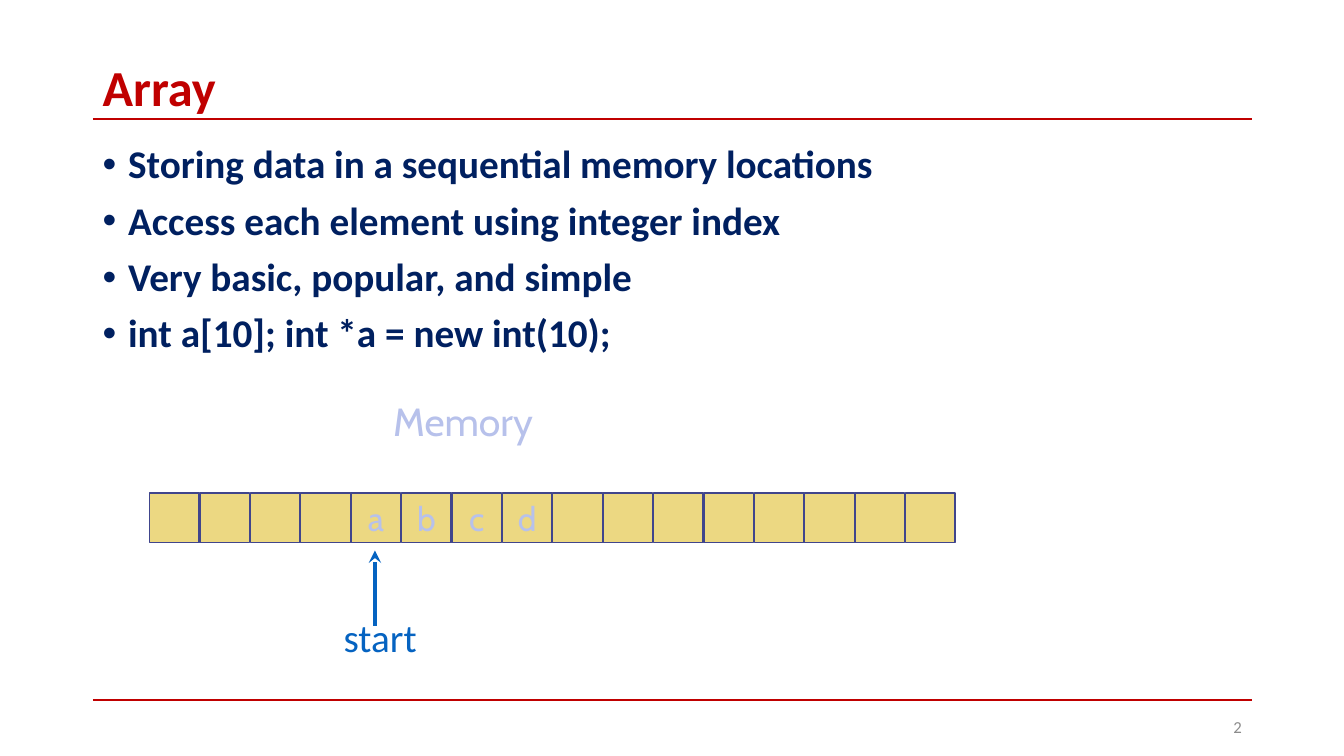
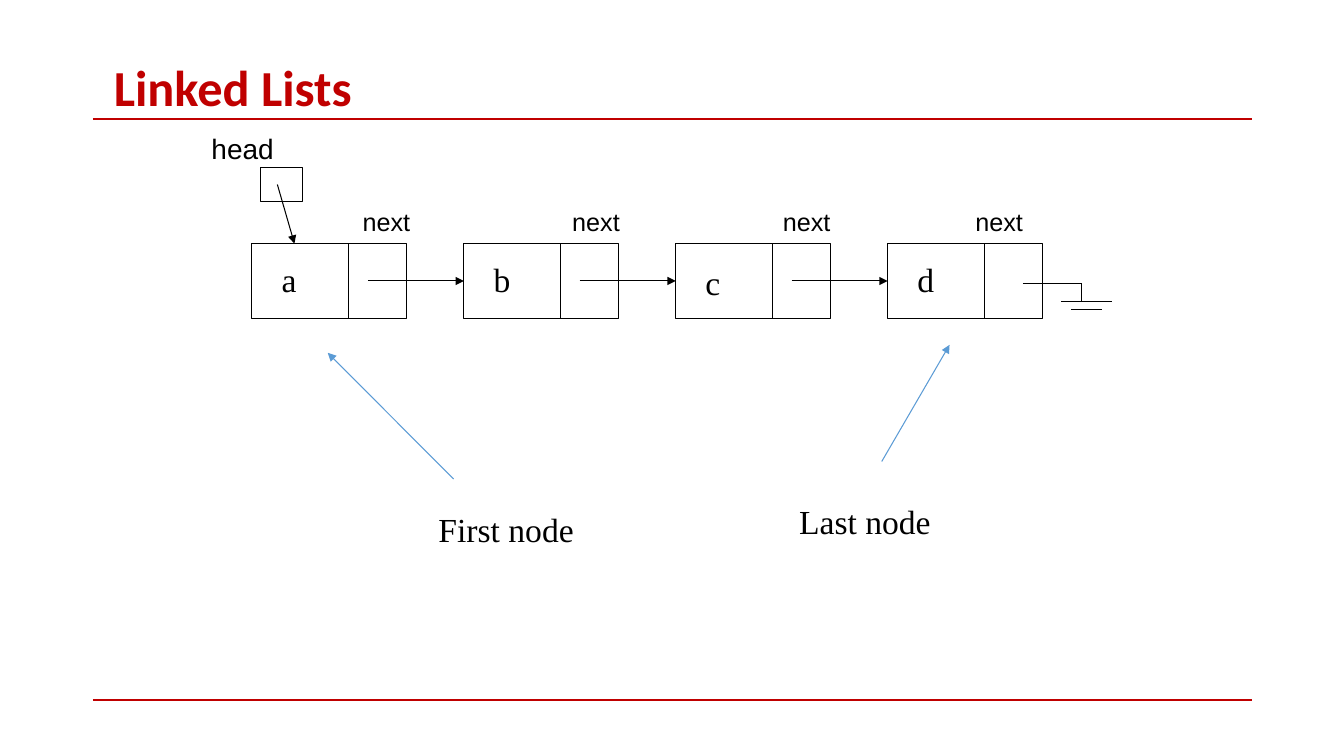
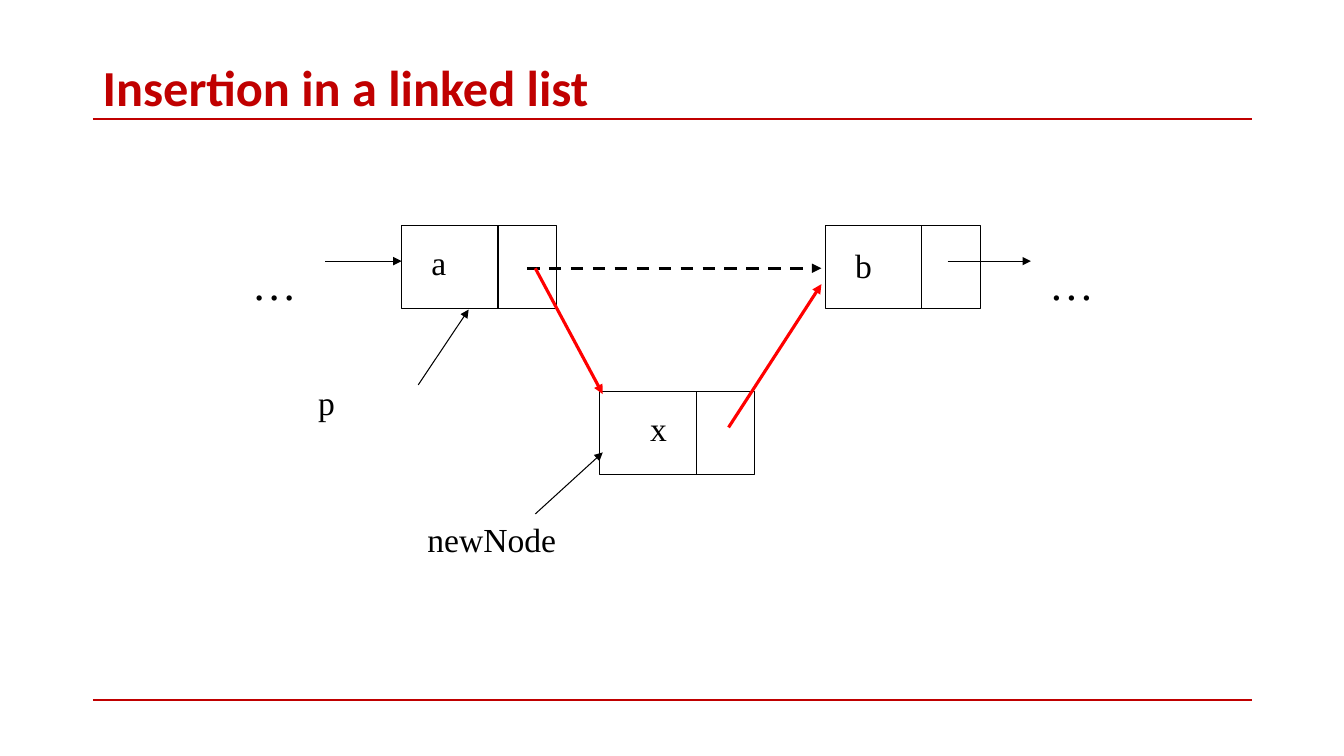
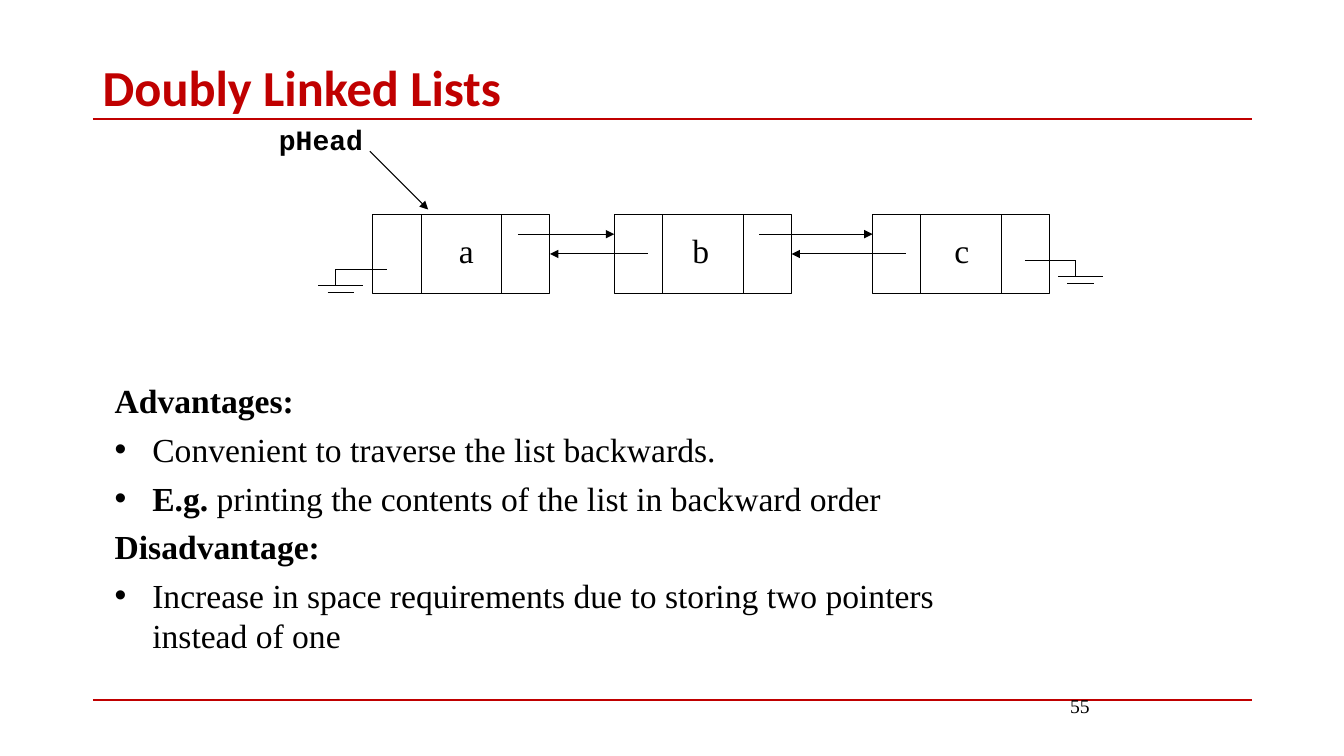
from dataclasses import dataclass, field
from itertools import pairwise
from typing import NamedTuple

from lxml import etree
from pptx import Presentation
from pptx.dml.color import RGBColor
from pptx.enum.dml import MSO_LINE
from pptx.enum.shapes import MSO_CONNECTOR, MSO_SHAPE
from pptx.enum.text import MSO_ANCHOR, PP_ALIGN
from pptx.oxml.ns import qn
from pptx.presentation import Presentation as Deck
from pptx.shapes.autoshape import Shape
from pptx.shapes.connector import Connector
from pptx.slide import Slide
from pptx.util import Cm, Pt

RECTANGLE = MSO_SHAPE.RECTANGLE
STRAIGHT = MSO_CONNECTOR.STRAIGHT
DASH = MSO_LINE.DASH
TOP, MIDDLE = MSO_ANCHOR.TOP, MSO_ANCHOR.MIDDLE
LEFT, CENTER = PP_ALIGN.LEFT, PP_ALIGN.CENTER
RIGHT, JUSTIFY = PP_ALIGN.RIGHT, PP_ALIGN.JUSTIFY
LEFT_SIDE, RIGHT_SIDE = 1, 3
BLANK_LAYOUT = 6

BLACK = RGBColor(0x00, 0x00, 0x00)
WHITE = RGBColor(0xFF, 0xFF, 0xFF)
CRIMSON = RGBColor(0xC0, 0x00, 0x00)
BLUE = RGBColor(0x05, 0x63, 0xC1)
LAVENDER = RGBColor(0xB7, 0xC1, 0xEB)


class TextStyle(NamedTuple):
    font: str
    size: float
    color: RGBColor = BLACK
    bold: bool = False


class LineStyle(NamedTuple):
    color: RGBColor = BLACK
    width: float = 0.75
    arrow: str = ""
    dashed: bool = False


@dataclass(frozen=True)
class Theme:
    title: TextStyle = TextStyle("Calibri", 36, CRIMSON, True)
    bullets: TextStyle = TextStyle("Calibri", 28, RGBColor(0x00, 0x20, 0x60), True)
    page_number: TextStyle = TextStyle("Calibri", 12, RGBColor(0x8C, 0x8C, 0x8C))
    serif_number: TextStyle = TextStyle("Times New Roman", 14)
    serif: TextStyle = TextStyle("Times New Roman", 24)
    ellipsis: TextStyle = TextStyle("Times New Roman", 32)
    head: TextStyle = TextStyle("Arial", 20)
    next: TextStyle = TextStyle("Arial", 18)
    code: TextStyle = TextStyle("Courier New", 20, BLACK, True)
    memory: TextStyle = TextStyle("Cabin", 28, LAVENDER)
    cell: TextStyle = TextStyle("Cabin", 24, LAVENDER)
    start: TextStyle = TextStyle("Calibri", 28, BLUE)
    rule: LineStyle = LineStyle(CRIMSON, 1.5)
    thin: LineStyle = LineStyle()
    link: LineStyle = LineStyle(arrow="triangle")
    old_link: LineStyle = LineStyle(width=2.25, arrow="triangle", dashed=True)
    new_link: LineStyle = LineStyle(RGBColor(0xFF, 0x00, 0x00), 2.25, "triangle")
    callout: LineStyle = LineStyle(RGBColor(0x5B, 0x9B, 0xD5), 0.75, "triangle")
    start_arrow: LineStyle = LineStyle(BLUE, 3, "stealth")
    cell_border: LineStyle = LineStyle(RGBColor(0x40, 0x45, 0x8C), 1)
    cell_fill: RGBColor = RGBColor(0xEC, 0xD8, 0x82)


THEME = Theme()


class Point(NamedTuple):
    """A place on the page, in centimetres."""
    x: float
    y: float


class Frame(NamedTuple):
    """A rectangle on the page, in centimetres."""
    left: float
    top: float
    width: float
    height: float


class Span(NamedTuple):
    text: str
    bold: bool = False


class ParaFormat(NamedTuple):
    align: PP_ALIGN = LEFT
    indent: float = 0
    hanging: bool = False
    line_spacing: float = 1
    space_before: float = 0


class Line(NamedTuple):
    spans: tuple[Span, ...]
    bullet: bool = False


class Label(NamedTuple):
    text: str
    frame: Frame
    style: TextStyle


class Arrow(NamedTuple):
    start: Point
    end: Point
    style: LineStyle = THEME.link


@dataclass(frozen=True)
class NodeKind:
    width: float
    height: float
    dividers: tuple[float, ...]
    label_width: float


@dataclass(frozen=True)
class Node:
    kind: NodeKind
    text: str
    left: float
    top: float
    label_left: float = 0.5
    label_drop: float = 0
    align: PP_ALIGN = field(default=LEFT)

    @property
    def middle(self) -> float:
        return self.top + self.kind.height / 2


PLAIN_NODE = NodeKind(3.9, 1.88, (2.43,), 1.95)
TALL_NODE = NodeKind(3.9, 2.09, (2.43,), 1.95)
DOUBLE_NODE = NodeKind(4.47, 2, (1.22, 3.25), 1.9)


def add_bullet(para) -> None:
    properties = para._p.get_or_add_pPr()
    etree.SubElement(properties, qn("a:buFont")).set("typeface", "Arial")
    etree.SubElement(properties, qn("a:buChar")).set("char", "•")


def style_runs(para, style: TextStyle) -> None:
    for run in para.runs:
        run.font.name = style.font
        run.font.size = Pt(style.size)
        run.font.bold = style.bold
        run.font.color.rgb = style.color


def add_lines(page: Slide, frame: Frame, lines: list[Line], style: TextStyle,
              layout: ParaFormat = ParaFormat(), anchor: MSO_ANCHOR = TOP) -> None:
    box = page.shapes.add_textbox(*map(Cm, frame))
    text_frame = box.text_frame
    text_frame.word_wrap = True
    text_frame.vertical_anchor = anchor
    for index, line in enumerate(lines):
        para = text_frame.add_paragraph() if index else text_frame.paragraphs[0]
        if layout.indent:
            properties = para._p.get_or_add_pPr()
            properties.set("marL", str(Cm(layout.indent)))
            if layout.hanging:
                properties.set("indent", str(-Cm(layout.indent)))
        if line.bullet:
            add_bullet(para)
        para.alignment = layout.align
        para.line_spacing = layout.line_spacing
        para.space_before = Pt(layout.space_before if index else 0)
        for text, bold in line.spans:
            para.add_run().text = text
        style_runs(para, style)
        for run, span in zip(para.runs, line.spans):
            run.font.bold = style.bold or span.bold


def add_text(page: Slide, text: str, frame: Frame, style: TextStyle,
             layout: ParaFormat = ParaFormat(), anchor: MSO_ANCHOR = TOP) -> None:
    add_lines(page, frame, [Line((Span(text),))], style, layout, anchor)


def add_box(page: Slide, frame: Frame, fill: RGBColor | None,
            border: LineStyle = THEME.thin) -> Shape:
    box = page.shapes.add_shape(RECTANGLE, *map(Cm, frame))
    box.shadow.inherit = False
    if fill is None:
        box.fill.background()
    else:
        box.fill.solid()
        box.fill.fore_color.rgb = fill
    box.line.color.rgb = border.color
    box.line.width = Pt(border.width)
    return box


def add_line(page: Slide, start: Point, end: Point,
             style: LineStyle = THEME.thin) -> Connector:
    line = page.shapes.add_connector(STRAIGHT, *map(Cm, (*start, *end)))
    line.line.color.rgb = style.color
    line.line.width = Pt(style.width)
    if style.dashed:
        line.line.dash_style = DASH
    properties = line.element.spPr
    if style.arrow:
        outline = properties.find(qn("a:ln"))
        etree.SubElement(outline, qn("a:tailEnd")).set("type", style.arrow)
    etree.SubElement(properties, qn("a:effectLst"))
    return line


def add_node(page: Slide, node: Node) -> Shape:
    kind = node.kind
    box = add_box(page, Frame(node.left, node.top, kind.width, kind.height), WHITE)
    for offset in kind.dividers:
        x = node.left + offset
        add_line(page, Point(x, node.top), Point(x, node.top + kind.height))
    label = Frame(node.left + node.label_left,
                  node.top + 0.14 * kind.height + node.label_drop,
                  kind.label_width, 0.74 * kind.height)
    add_text(page, node.text, label, THEME.serif, ParaFormat(node.align))
    return box


def add_ground(page: Slide, start: Point, turn_x: float, scale: float = 1) -> None:
    """Draw a null pointer: a lead, a drop and two bars."""
    turn = Point(turn_x, start.y)
    foot = Point(turn_x, start.y + 0.46 * scale)
    add_line(page, start, turn)
    add_line(page, turn, foot)
    center = turn_x + 0.13
    for half_width, gap in ((0.64, 0), (0.38, 0.2)):
        y = foot.y + gap * scale
        add_line(page, Point(center - half_width * scale, y),
                 Point(center + half_width * scale, y))


def add_labels(page: Slide, labels: list[Label]) -> None:
    for label in labels:
        add_text(page, *label)


def add_arrows(page: Slide, arrows: list[Arrow]) -> None:
    for arrow in arrows:
        add_line(page, *arrow)


def add_page(deck: Deck, title: str, indent: float = 0) -> Slide:
    page = deck.slides.add_slide(deck.slide_layouts[BLANK_LAYOUT])
    for y in (3, 17.65):
        add_line(page, Point(2.34, y), Point(31.55, y), THEME.rule)
    add_text(page, title, Frame(2.34, 1.55, 29.21, 1.47), THEME.title,
             ParaFormat(indent=indent, line_spacing=0.9), MIDDLE)
    return page


def build_array(deck: Deck) -> None:
    page = add_page(deck, "Array")
    points = (
        "Storing data in a sequential memory locations",
        "Access each element using integer index",
        "Very basic, popular, and simple",
        "int a[10]; int *a = new int(10);",
    )
    add_lines(page, Frame(2.34, 3.53, 20.32, 13.64),
              [Line((Span(point),), True) for point in points], THEME.bullets,
              ParaFormat(JUSTIFY, 0.64, True, 0.9, 10))
    add_text(page, "2", Frame(23.93, 17.81, 7.62, 1.02), THEME.page_number,
             ParaFormat(RIGHT), MIDDLE)

    contents = {4: "a", 5: "b", 6: "c", 7: "d"}
    for index in range(16):
        cell = add_box(page, Frame(3.77 + 1.27 * index, 12.42, 1.25, 1.25),
                       THEME.cell_fill, THEME.cell_border)
        if index in contents:
            text_frame = cell.text_frame
            text_frame.margin_left = text_frame.margin_right = 0
            text_frame.vertical_anchor = MIDDLE
            text_frame.text = contents[index]
            para = text_frame.paragraphs[0]
            para.alignment = CENTER
            style_runs(para, THEME.cell)

    add_text(page, "Memory", Frame(9.02, 9.88, 6.78, 1.45), THEME.memory,
             ParaFormat(indent=0.64))
    add_line(page, Point(9.45, 15.77), Point(9.45, 13.87), THEME.start_arrow)
    add_text(page, "start", Frame(8.41, 15.34, 2.97, 1.45), THEME.start)


def build_linked_list(deck: Deck) -> None:
    page = add_page(deck, "Linked Lists", indent=0.28)
    nodes = [Node(PLAIN_NODE, text, 6.35 + 5.34 * index, 6.14,
                  label_drop=0.08 if text == "c" else 0)
             for index, text in enumerate("abcd")]
    boxes = [add_node(page, node) for node in nodes]
    for node, target, box in zip(nodes, nodes[1:], boxes[1:]):
        link = add_line(page, Point(node.left + 2.92, node.middle),
                        Point(target.left, target.middle), THEME.link)
        link.end_connect(box, LEFT_SIDE)
    add_ground(page, Point(25.78, 7.14), 27.25)

    add_box(page, Frame(6.56, 4.23, 1.07, 0.84), None)
    add_arrows(page, [
        Arrow(Point(6.99, 4.65), Point(7.42, 6.14)),
        Arrow(Point(11.43, 12.07), Point(8.26, 8.89), THEME.callout),
        Arrow(Point(22.22, 11.63), Point(23.93, 8.69), THEME.callout),
    ])
    add_labels(page, [
        Label("head", Frame(5.08, 3.18, 6.99, 1.09), THEME.head),
        Label("First node", Frame(10.8, 12.7, 4.88, 1.27), THEME.serif),
        Label("Last node", Frame(19.89, 12.5, 5.51, 1.27), THEME.serif),
        *(Label("next", Frame(left, 5.08, 2.34, 1.02), THEME.next)
          for left in (8.89, 14.17, 19.48, 24.33)),
    ])


def build_insertion(deck: Deck) -> None:
    page = add_page(deck, "Insertion in a linked list")
    for node in (
        Node(TALL_NODE, "a", 10.12, 5.68),
        Node(TALL_NODE, "b", 20.8, 5.68, label_drop=0.08),
        Node(TALL_NODE, "x", 15.12, 9.86, align=CENTER),
    ):
        add_node(page, node)
    add_arrows(page, [
        Arrow(Point(13.28, 6.76), Point(20.7, 6.76), THEME.old_link),
        Arrow(Point(8.2, 6.58), Point(10.12, 6.58)),
        Arrow(Point(23.88, 6.58), Point(25.98, 6.58)),
        Arrow(Point(10.54, 9.7), Point(11.81, 7.8)),
        Arrow(Point(13.49, 12.95), Point(15.19, 11.4)),
        Arrow(Point(13.49, 6.76), Point(15.19, 9.93), THEME.new_link),
        Arrow(Point(18.36, 10.77), Point(20.7, 7.16), THEME.new_link),
    ])
    add_labels(page, [
        Label("…", Frame(6.1, 6.32, 2.1, 1.6), THEME.ellipsis),
        Label("…", Frame(26.19, 6.32, 2.1, 1.6), THEME.ellipsis),
        Label("p", Frame(7.77, 9.5, 3.81, 1.27), THEME.serif),
        Label("newNode", Frame(10.52, 12.95, 4.01, 1.27), THEME.serif),
    ])


def build_doubly_linked_list(deck: Deck) -> None:
    page = add_page(deck, "Doubly Linked Lists")
    nodes = [
        Node(DOUBLE_NODE, text, left, 5.4, label_left, align=CENTER)
        for text, left, label_left in (
            ("a", 9.39, 1.41), ("b", 15.48, 1.23), ("c", 21.99, 1.3))
    ]
    boxes = [add_node(page, node) for node in nodes]
    for (node, box), (target, _) in pairwise(zip(nodes, boxes)):
        forward_y = node.top + 0.5
        add_line(page, Point(node.left + 3.66, forward_y),
                 Point(target.left, forward_y), THEME.link)
        back = add_line(page, Point(target.left + 0.84, target.middle),
                        Point(node.left + node.kind.width, node.middle), THEME.link)
        back.end_connect(box, RIGHT_SIDE)
    add_ground(page, Point(25.83, 6.56), 27.1, 0.88)
    add_ground(page, Point(9.75, 6.79), 8.46, 0.88)

    add_text(page, "pHead", Frame(6.78, 2.97, 3.61, 1.5), THEME.code)
    add_line(page, Point(9.32, 3.81), Point(10.79, 5.28), THEME.link)
    add_lines(page, Frame(2.64, 9.45, 22.02, 7.42), [
        Line((Span("Advantages:", True),)),
        Line((Span("Convenient to traverse the list backwards."),), True),
        Line((Span("E.g.", True),
              Span(" printing the contents of the list in backward order")), True),
        Line((Span("Disadvantage:", True),)),
        Line((Span("Increase in space requirements due to storing two pointers "
                   "instead of one"),), True),
    ], THEME.serif, ParaFormat(indent=0.95, hanging=True, space_before=6))
    add_text(page, "55", Frame(22.43, 17.35, 5.28, 1.27), THEME.serif_number,
             ParaFormat(RIGHT))


def main() -> None:
    deck = Presentation()
    deck.slide_width, deck.slide_height = Cm(33.87), Cm(19.05)
    build_array(deck)
    build_linked_list(deck)
    build_insertion(deck)
    build_doubly_linked_list(deck)
    deck.save("out.pptx")


if __name__ == "__main__":
    main()
